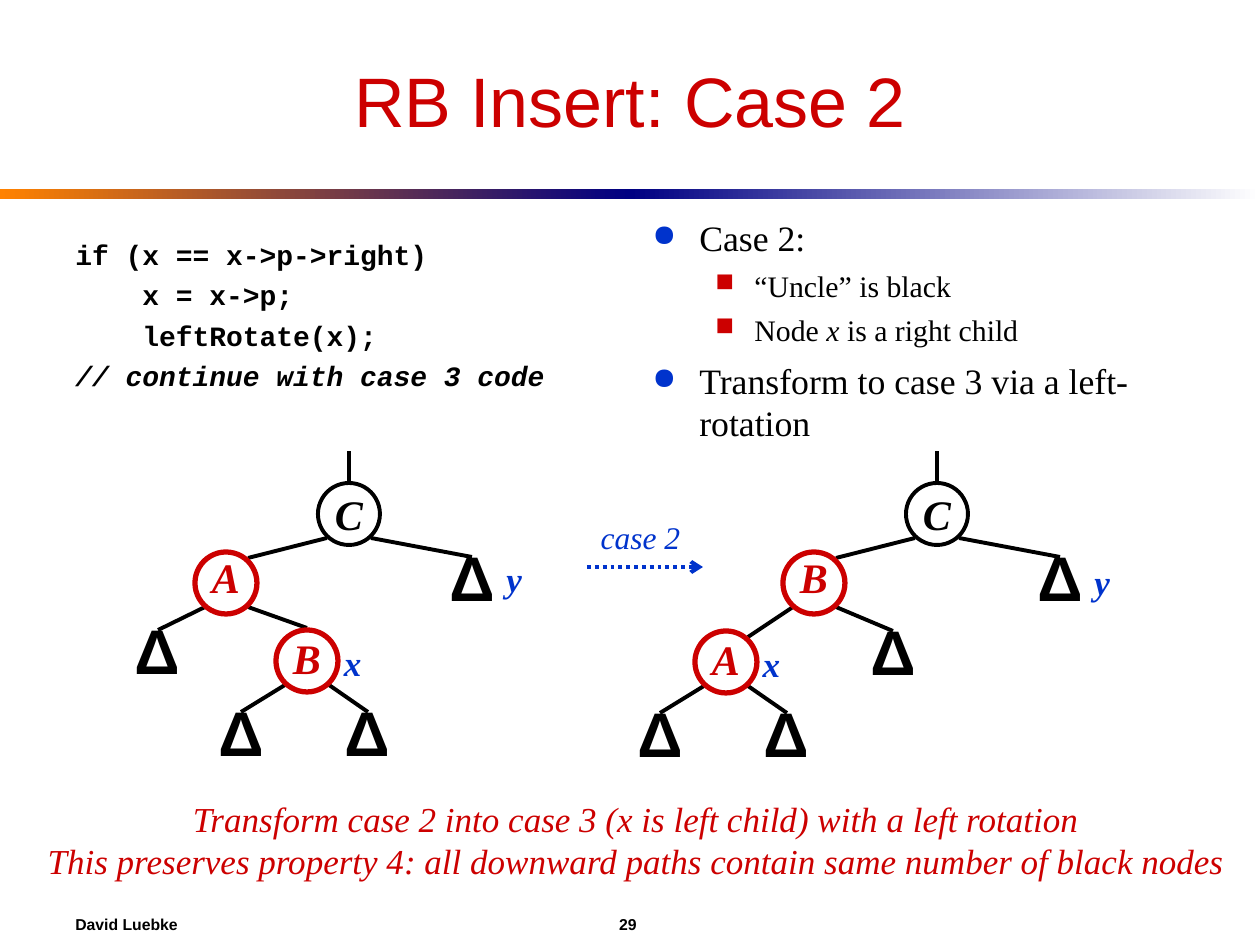
"""Build the red-black tree slide "RB Insert: Case 2"."""
from lxml.etree import SubElement
from pptx import Presentation
from pptx.dml.color import RGBColor
from pptx.enum.dml import MSO_LINE
from pptx.enum.shapes import MSO_CONNECTOR, MSO_SHAPE
from pptx.enum.text import MSO_ANCHOR as ANCHOR, PP_ALIGN as ALIGN
from pptx.oxml.ns import qn
from pptx.util import Pt

PX = 914400 / 126
BLACK = RGBColor(0x00, 0x00, 0x00)
WHITE = RGBColor(0xFF, 0xFF, 0xFF)
RED = RGBColor(0xCC, 0x00, 0x00)
BLUE = RGBColor(0x00, 0x33, 0xCC)
ORANGE = RGBColor(0xFF, 0x82, 0x00)
NAVY = RGBColor(0x00, 0x00, 0x82)
SERIF = "Times New Roman"
NODE = 62


def px(*lengths):
    return [round(n * PX) for n in lengths]


def write(tf, text, p=None, size=20, color=BLACK, font=SERIF, bold=False, italic=False,
          align=ALIGN.CENTER, before=0, spacing=1.0, anchor=ANCHOR.MIDDLE, wrap=False):
    tf.word_wrap = wrap
    tf.vertical_anchor = anchor
    if p is None:
        p = tf.add_paragraph() if tf.text else tf.paragraphs[0]
    p.alignment, p.space_before, p.line_spacing = align, Pt(before), spacing
    r = p.add_run()
    r.text = text
    r.font.name, r.font.size, r.font.color.rgb = font, Pt(size), color
    r.font.bold, r.font.italic = bold, italic
    return p


prs = Presentation()
prs.slide_width, prs.slide_height = px(1260, 945)
s = prs.slides.add_slide(prs.slide_layouts[5])
shapes = s.shapes

for x, start, end in ((0, ORANGE, NAVY), (630, NAVY, WHITE)):
    bar = shapes.add_shape(MSO_SHAPE.RECTANGLE, *px(x, 189, 630, 10))
    bar.shadow.inherit = False
    bar.line.fill.background()
    bar.fill.gradient()
    bar.fill.gradient_angle = 0
    for stop, color in zip(bar.fill.gradient_stops, (start, end)):
        stop.color.rgb = color

title = shapes.title
title.left, title.top, title.width, title.height = px(63, 32, 1134, 136)
write(title.text_frame, "RB Insert: Case 2", size=40, color=RED, font="Arial", wrap=True)

code = shapes.add_textbox(*px(63, 231, 557, 231)).text_frame
for text, indent, italic in (("if (x == x->p->right)", 0, False), ("x = x->p;", 67, False),
                             ("leftRotate(x);", 67, False),
                             ("// continue with case 3 code", 0, True)):
    p = write(code, text, size=16, font="Courier New", bold=True, italic=italic,
              align=ALIGN.LEFT, before=4, anchor=ANCHOR.TOP, wrap=True)
    p._p.get_or_add_pPr().set("marL", str(px(indent)[0]))

points = shapes.add_textbox(*px(640, 210, 557, 242)).text_frame
for level, runs in ((0, ["Case 2:"]), (1, ["“Uncle” is black"]),
                    (1, ["Node ", "x", " is a right child"]),
                    (0, ["Transform to case 3 via a left-rotation"])):
    size, before, left, hang, mark, color = (
        (17, 5, 102, 39, "■", RED) if level else (20.4, 6, 47, 47, "●", BLUE))
    p = None
    for text in runs:
        p = write(points, text, p, size=size, italic=text == "x", align=ALIGN.LEFT,
                  before=before, anchor=ANCHOR.TOP, wrap=True)
    p.level = level
    pPr = p._p.get_or_add_pPr()
    pPr.set("marL", str(px(left)[0]))
    pPr.set("indent", str(px(-hang)[0]))
    SubElement(SubElement(pPr, qn("a:buClr")), qn("a:srgbClr"), val=str(color))
    SubElement(pPr, qn("a:buSzPct"), val="85000")
    SubElement(pPr, qn("a:buChar"), char=mark)

lines = [(587, 567, 703, 567, BLUE)]
nodes, leaves = [], []
labels = [(588, 512, 105, 50, "case 2", 18, False)]
trees = ((0, "A", "B", 276, 630, 126, 551, ((248, 607, 307, 628), (205, 607, 158, 630))),
         (588, "B", "A", 695, 631, 862, 554, ((836, 607, 893, 631), (793, 607, 748, 637))))
for x, inner, low, lx, ly, leaf_x, label_y, links in trees:
    edges = links + ((x + 349, 483, x + 349, 451),
                     (x + 327, 538, x + 248, 558),
                     (x + 371, 538, x + 472, 557),
                     (lx + 9, ly + 55, lx - 35, ly + 82),
                     (lx + 53, ly + 55, lx + 92, ly + 82))
    lines += [edge + (BLACK,) for edge in edges]
    nodes += [(x + 318, 483, "C", BLACK, 2.25, 1.0),
              (x + 195, 552, inner, RED, 3, 0.7),
              (lx, ly, low, RED, 3, 0.9)]
    leaves += [(x + 441, 557), (leaf_x, ly), (lx - 66, ly + 82), (lx + 60, ly + 82)]
    labels += [(x + 494, label_y, 40, 55, "y", 20, True),
               (lx + 55, ly + 5, 43, 55, "x", 20, True)]

for x1, y1, x2, y2, color in lines:
    line = shapes.add_connector(MSO_CONNECTOR.STRAIGHT, *px(x1, y1, x2, y2))
    line.line.color.rgb = color
    line.line.width = Pt(2.25)
    if color == BLUE:
        line.line.dash_style = MSO_LINE.ROUND_DOT
        SubElement(line.line._get_or_add_ln(), qn("a:tailEnd"), type="arrow")
    SubElement(line._element.spPr, qn("a:effectLst"))

for x, y, letter, color, width, spacing in nodes:
    node = shapes.add_shape(MSO_SHAPE.OVAL, *px(x, y, NODE, NODE))
    node.shadow.inherit = False
    node.fill.solid()
    node.fill.fore_color.rgb = WHITE
    node.line.color.rgb = color
    node.line.width = Pt(width)
    write(node.text_frame, letter, size=24, color=color, bold=True, italic=True, spacing=spacing)

for x, y in leaves:
    leaf = shapes.add_shape(MSO_SHAPE.OVAL, *px(x, y, NODE, NODE))
    leaf.shadow.inherit = False
    leaf.fill.background()
    leaf.line.fill.background()
    write(leaf.text_frame, "Δ", size=36, font="Arial", bold=True, spacing=0.6)

for x, y, w, h, text, size, bold in labels:
    tf = shapes.add_textbox(*px(x, y, w, h)).text_frame
    write(tf, text, size=size, color=BLUE, bold=bold, italic=True)

summary = shapes.add_textbox(*px(33, 791, 1206, 97)).text_frame
for text in ("Transform case 2 into case 3 (x is left child) with a left rotation",
             "This preserves property 4: all downward paths contain same number of black nodes"):
    write(summary, text, color=RED, italic=True)

for x, w, text, align in ((63, 300, "David Luebke", ALIGN.LEFT), (588, 80, "29", ALIGN.CENTER)):
    tf = shapes.add_textbox(*px(x, 903, w, 42)).text_frame
    write(tf, text, size=9, font="Arial", bold=True, align=align, wrap=True)

prs.save("out.pptx")
